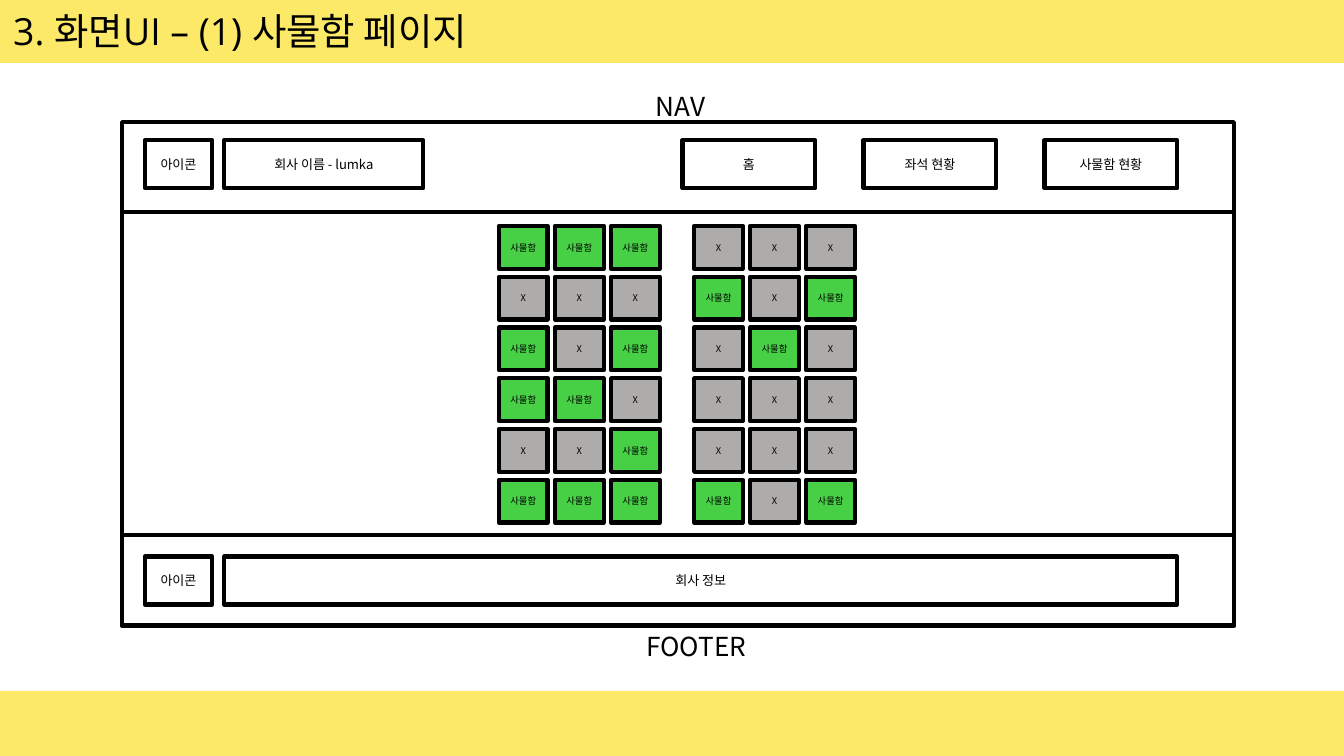
from pptx import Presentation
from pptx.dml.color import RGBColor
from pptx.enum.shapes import MSO_SHAPE
from pptx.enum.text import MSO_ANCHOR, PP_ALIGN
from pptx.util import Cm, Pt

RECTANGLE = MSO_SHAPE.RECTANGLE
MIDDLE, TOP = MSO_ANCHOR.MIDDLE, MSO_ANCHOR.TOP
LEFT, CENTER = PP_ALIGN.LEFT, PP_ALIGN.CENTER
YELLOW, GREEN, GRAY, BLACK = "FCE968", "47D046", "AEABAB", "000000"
LABEL_FONT = "Noto Sans CJK KR"


def add_box(left, top, width, height, fill=None, outline=BLACK):
    box = page.shapes.add_shape(RECTANGLE, Cm(left), Cm(top), Cm(width), Cm(height))
    box.shadow.inherit = False
    for paint, color in ((box.fill, fill), (box.line.fill, outline)):
        if color:
            paint.solid()
            paint.fore_color.rgb = RGBColor.from_string(color)
        else:
            paint.background()
    if outline:
        box.line.width = Pt(2.25)
    return box


def write(box, text, size, font=LABEL_FONT, align=CENTER, anchor=MIDDLE, insets=(0.15, 0.08)):
    """Fill a box with one line of text; insets are (horizontal, vertical) in cm."""
    frame = box.text_frame
    frame.word_wrap = True
    frame.vertical_anchor = anchor
    frame.margin_left = frame.margin_right = Cm(insets[0])
    frame.margin_top = frame.margin_bottom = Cm(insets[1])
    para = frame.paragraphs[0]
    para.text = text
    para.alignment = align
    para.font.name = font
    para.font.size = Pt(size)
    para.font.color.rgb = RGBColor.from_string(BLACK)


deck = Presentation()
deck.slide_width, deck.slide_height = Cm(25.4), Cm(14.29)
page = deck.slides.add_slide(deck.slide_layouts[6])

# Yellow bars
add_box(0, 13.06, 25.4, 1.23, YELLOW, None)
title_bar = add_box(0, -0.03, 25.4, 1.22, YELLOW, None)
write(title_bar, "3. 화면UI – (1) 사물함 페이지", 20, "Open Sans", LEFT, insets=(0.25, 0.25))

# Section captions
for text, top, width in (("NAV", 1.6, 1.75), ("FOOTER", 11.81, 2.34)):
    caption = page.shapes.add_textbox(Cm(11.99), Cm(top), Cm(width), Cm(0.76))
    write(caption, text, 14, anchor=TOP, insets=(0.18, 0.1))

# Page frame: body, navigation, footer
for top, height in ((4.01, 7.82), (2.31, 1.7), (10.12, 1.7)):
    add_box(2.31, top, 21.01, height)

# Navigation and footer items
NAV_TOP, FOOTER_TOP = 2.65, 10.52
items = [
    ("아이콘", 2.74, NAV_TOP, 1.27),
    ("회사 이름 - lumka", 4.24, NAV_TOP, 3.76),
    ("홈", 12.9, NAV_TOP, 2.51),
    ("좌석 현황", 16.32, NAV_TOP, 2.51),
    ("사물함 현황", 19.74, NAV_TOP, 2.51),
    ("아이콘", 2.74, FOOTER_TOP, 1.27),
    ("회사 정보", 4.24, FOOTER_TOP, 18.01),
]
for text, left, top, width in items:
    write(add_box(left, top, width, 0.91), text, 7)

# Lockers: O is free, X is taken; two blocks of three columns
locker_rows = ["OOOXXX", "XXXOXO", "OXOXOX", "OOXXXX", "XXOXXX", "OOOOXO"]
COLUMN_PITCH, ROW_PITCH = 1.06, 0.96
for row, states in enumerate(locker_rows):
    for column, state in enumerate(states):
        block, place = divmod(column, 3)
        left = 9.43 + block * 3.69 + place * COLUMN_PITCH
        fill, text = (GREEN, "사물함") if state == "O" else (GRAY, "X")
        locker = add_box(left, 4.27 + row * ROW_PITCH, 0.92, 0.81, fill)
        write(locker, text, 5)

deck.save("out.pptx")
